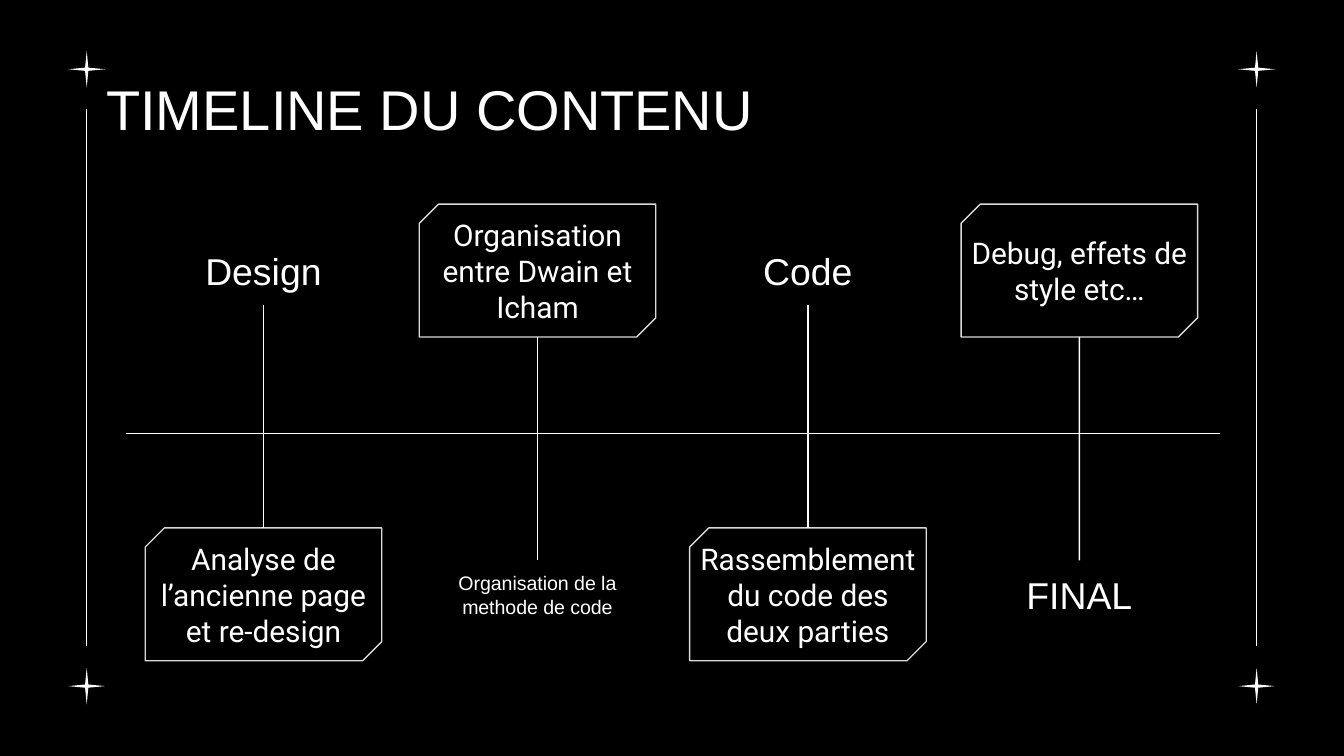
"""Build the four-step content timeline slide."""
from lxml.etree import SubElement
from pptx import Presentation
from pptx.dml.color import RGBColor
from pptx.enum.shapes import MSO_CONNECTOR, MSO_SHAPE
from pptx.enum.text import MSO_ANCHOR, PP_ALIGN
from pptx.oxml.ns import qn
from pptx.util import Cm, Pt

TITLE = "TIMELINE DU CONTENU"
STEPS = [
    {"x": 4.98, "label": "Design", "style": "label", "label_on_top": True,
     "detail": "Analyse de l’ancienne page et re-design"},
    {"x": 10.16, "label": "Organisation de la methode de code", "style": "small",
     "label_on_top": False, "detail": "Organisation entre Dwain et Icham"},
    {"x": 15.27, "label": "Code", "style": "label", "label_on_top": True,
     "detail": "Rassemblement du code des deux parties"},
    {"x": 20.4, "label": "FINAL", "style": "label", "label_on_top": False,
     "detail": "Debug, effets de style etc…"},
]
THEME = {
    "back": RGBColor(0, 0, 0),
    "ink": RGBColor(255, 255, 255),
    "edge": RGBColor(217, 217, 217),
    "line": Pt(0.75),
    "title": {"name": "Arial", "size": Pt(30)},
    "label": {"name": "Arial", "size": Pt(20)},
    "small": {"name": "Arial", "size": Pt(10.5)},
    "detail": {"name": "Roboto", "size": Pt(16)},
}
FRAME = {"word_wrap": True, "vertical_anchor": MSO_ANCHOR.MIDDLE, "margin_left": 0,
         "margin_right": 0, "margin_top": 0, "margin_bottom": 0}
TITLE_BOX = (2.01, 1.24, 21.41, 1.6)
SIDE_X, STAR_Y, RAIL_Y, STAR = (23.75, 1.64), (1.31, 12.97), (12.22, 2.06), 0.69
AXIS_X, AXIS_Y = (2.39, 23.06), 8.2
BOX_W, BOX_H, BOX_TOP = 4.47, 2.51, {False: 3.86, True: 9.98}
LABEL_H, LABEL_TOP = 1.3, {True: 4.47, False: 10.59}
TEXT_W, DETAIL_H = 4.29, 1.98


def apply(obj, values):
    for key, value in values.items():
        setattr(obj, key, value)


def add_text(s, text, style, box, align=PP_ALIGN.CENTER):
    sp = s.shapes.add_textbox(*map(Cm, box))
    tf = sp.text_frame
    apply(tf, FRAME)
    p = tf.paragraphs[0]
    p.alignment = align
    r = p.add_run()
    r.text = text
    apply(r.font, THEME[style])
    r.font.color.rgb = THEME["ink"]
    return sp


def add_line(s, x1, y1, x2, y2):
    ln = s.shapes.add_connector(MSO_CONNECTOR.STRAIGHT, *map(Cm, (x1, y1, x2, y2)))
    apply(ln.line, {"width": THEME["line"]})
    ln.line.color.rgb = THEME["ink"]
    SubElement(ln._element.spPr, qn("a:effectLst"))
    return ln


def add_preset(s, kind, box, adjustments):
    sp = s.shapes.add_shape(kind, *map(Cm, box))
    sp.shadow.inherit = False
    for i, value in enumerate(adjustments):
        sp.adjustments[i] = value
    return sp


def add_side(s, x):
    add_line(s, x, RAIL_Y[0], x, RAIL_Y[1])
    for y in STAR_Y:
        box = (x - STAR / 2, y - STAR / 2, STAR, STAR)
        sp = add_preset(s, MSO_SHAPE.STAR_4_POINT, box, [0.063])
        sp.fill.solid()
        sp.fill.fore_color.rgb = THEME["ink"]
        sp.line.fill.background()


def add_step(s, step):
    x, on_top = step["x"], step["label_on_top"]
    box_top, label_top = BOX_TOP[on_top], LABEL_TOP[on_top]
    sp = add_preset(s, MSO_SHAPE.SNIP_2_DIAG_RECTANGLE,
                    (x - BOX_W / 2, box_top, BOX_W, BOX_H), [0.144, 0])
    sp.fill.background()
    sp.line.color.rgb = THEME["edge"]
    sp.line.width = THEME["line"]
    left = x - TEXT_W / 2
    add_text(s, step["detail"], "detail",
             (left, box_top + (BOX_H - DETAIL_H) / 2, TEXT_W, DETAIL_H))
    label = add_text(s, step["label"], step["style"], (left, label_top, TEXT_W, LABEL_H))
    if on_top:
        ln = add_line(s, x, label_top + LABEL_H, x, box_top)
        ln.begin_connect(label, 2)
    else:
        ln = add_line(s, x, box_top + BOX_H, x, label_top)
        ln.end_connect(label, 0)


def main():
    prs = Presentation()
    prs.slide_width, prs.slide_height = Cm(25.4), Cm(14.29)
    s = prs.slides.add_slide(prs.slide_layouts[6])
    s.background.fill.solid()
    s.background.fill.fore_color.rgb = THEME["back"]
    for x in SIDE_X:
        add_side(s, x)
    add_text(s, TITLE, "title", TITLE_BOX, PP_ALIGN.LEFT)
    add_line(s, AXIS_X[0], AXIS_Y, AXIS_X[1], AXIS_Y)
    for step in STEPS:
        add_step(s, step)
    prs.save("out.pptx")


if __name__ == "__main__":
    main()
